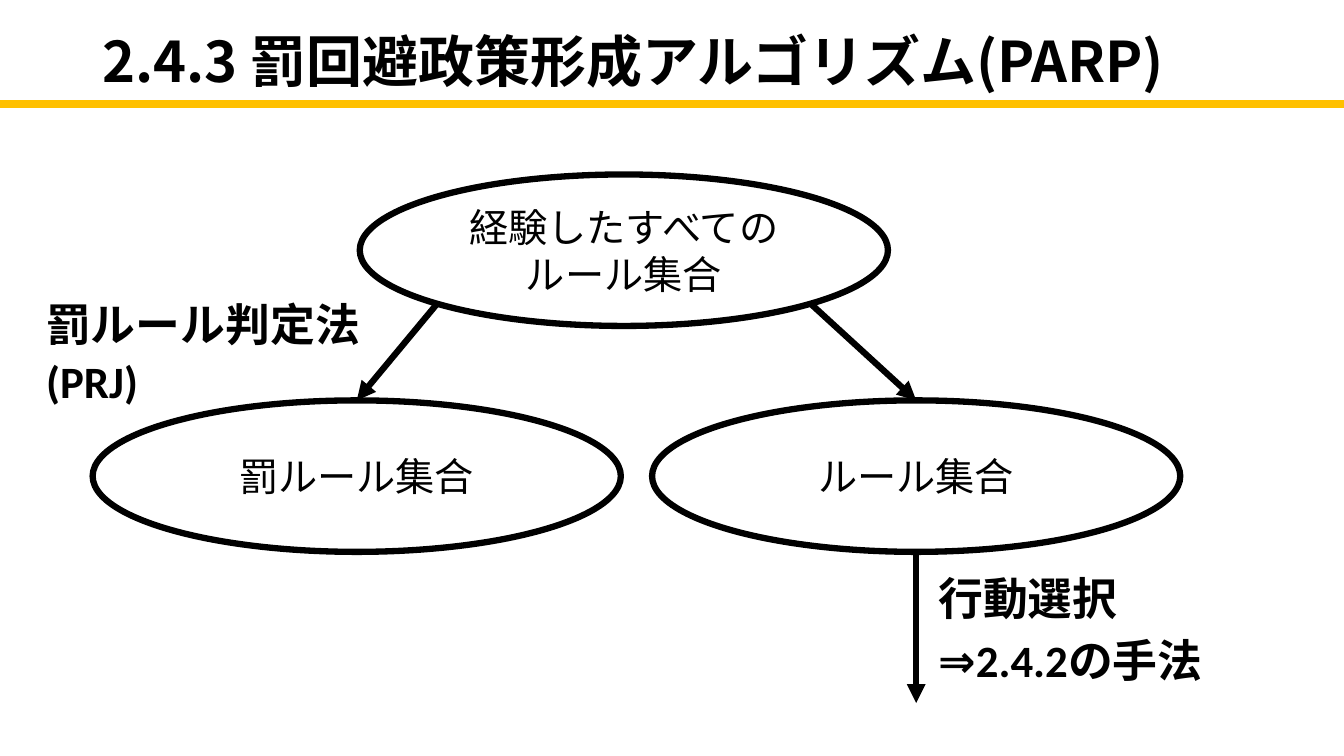
from lxml.etree import SubElement
from pptx import Presentation
from pptx.dml.color import RGBColor
from pptx.enum.shapes import MSO_CONNECTOR, MSO_SHAPE
from pptx.enum.text import MSO_ANCHOR, PP_ALIGN
from pptx.oxml.ns import qn
from pptx.util import Pt
from math import cos, pi

THEME = {
    "ink": RGBColor(0, 0, 0),
    "paper": RGBColor(255, 255, 255),
    "accent": RGBColor(0xFF, 0xC0, 0x00),
    "latin": "Calibri",
    "japanese": "Noto Sans CJK JP",
    "title": 40,
    "label": 32,
    "node": 28,
    "rule": 6,
    "line": 4.5,
}

TITLE = "2.4.3 罰回避政策形成アルゴリズム(PARP)"
ALL_RULES = "経験したすべてのルール集合"
PENALTY_RULES = "罰ルール集合"
RULES = "ルール集合"
JUDGEMENT = ["罰ルール判定法", "(PRJ)"]
SELECTION = ["行動選択", "⇒2.4.2の手法"]

SLIDE_SIZE = (960, 540)
NODE_WIDTH, NODE_HEIGHT = 377.3, 108.2
NODE_MARGIN = 10
UPPER_TOP, LOWER_TOP = 124.6, 286
UPPER_LEFT, PENALTY_LEFT, RULES_LEFT = 257, 66.2, 465.8
RULE_Y = 74.2
ARROW_LENGTH = 108


def write_text(shape, lines, size, font=THEME["latin"], bold=False,
               align=PP_ALIGN.LEFT, anchor=MSO_ANCHOR.TOP, spacing=1.0):
    frame = shape.text_frame
    frame.word_wrap = True
    frame.vertical_anchor = anchor
    for index, line in enumerate(lines):
        paragraph = frame.add_paragraph() if index else frame.paragraphs[0]
        paragraph.alignment = align
        paragraph.line_spacing = spacing
        if index:
            paragraph.space_before = Pt(10)
        run = paragraph.add_run()
        run.text = line
        run.font.size = Pt(size)
        run.font.bold = bold
        run.font.name = font
        run.font.color.rgb = THEME["ink"]
        SubElement(run.font._element, qn("a:ea"), typeface=THEME["japanese"])


def add_label(slide, box, lines, size, **text_format):
    shape = slide.shapes.add_textbox(*map(Pt, box))
    write_text(shape, lines, size, bold=True, **text_format)


def add_node(slide, left, top, text):
    shape = slide.shapes.add_shape(
        MSO_SHAPE.OVAL, Pt(left), Pt(top), Pt(NODE_WIDTH), Pt(NODE_HEIGHT))
    shape.shadow.inherit = False
    shape.fill.solid()
    shape.fill.fore_color.rgb = THEME["paper"]
    shape.line.color.rgb = THEME["ink"]
    shape.line.width = Pt(THEME["line"])
    shape.text_frame.margin_left = shape.text_frame.margin_right = Pt(NODE_MARGIN)
    write_text(shape, [text], THEME["node"],
               align=PP_ALIGN.CENTER, anchor=MSO_ANCHOR.MIDDLE)
    return shape


def add_line(slide, start, end, color, width, arrow=False):
    connector = slide.shapes.add_connector(
        MSO_CONNECTOR.STRAIGHT, *map(Pt, (*start, *end)))
    connector.line.color.rgb = color
    connector.line.width = Pt(width)
    if arrow:
        SubElement(connector.line._get_or_add_ln(), qn("a:tailEnd"), type="triangle")
    SubElement(connector._element.spPr, qn("a:effectLst"))
    return connector


def main():
    presentation = Presentation()
    presentation.slide_width, presentation.slide_height = map(Pt, SLIDE_SIZE)
    slide = presentation.slides.add_slide(presentation.slide_layouts[6])

    add_label(slide, (66.2, -6.5, 828, 104.4), [TITLE], THEME["title"],
              font=THEME["japanese"], anchor=MSO_ANCHOR.MIDDLE, spacing=0.9)
    add_line(slide, (-9.4, RULE_Y), (SLIDE_SIZE[0], RULE_Y),
             THEME["accent"], THEME["rule"])

    add_node(slide, UPPER_LEFT, UPPER_TOP, ALL_RULES)
    # Branches leave the upper ellipse at its 45-degree points.
    reach = cos(pi / 4) / 2
    start_y = UPPER_TOP + NODE_HEIGHT * (0.5 + reach)
    branches = [(PENALTY_LEFT, PENALTY_RULES, -reach), (RULES_LEFT, RULES, reach)]
    for left, text, offset in branches:
        node = add_node(slide, left, LOWER_TOP, text)
        start = (UPPER_LEFT + NODE_WIDTH * (0.5 + offset), start_y)
        end = (left + NODE_WIDTH / 2, LOWER_TOP)
        branch = add_line(slide, start, end, THEME["ink"], THEME["line"], arrow=True)
        branch.end_connect(node, 0)

    exit_x, exit_y = RULES_LEFT + NODE_WIDTH / 2, LOWER_TOP + NODE_HEIGHT
    add_line(slide, (exit_x, exit_y), (exit_x, exit_y + ARROW_LENGTH),
             THEME["ink"], THEME["line"], arrow=True)

    add_label(slide, (663.1, 408.2, 278.6, 94.3), SELECTION, THEME["label"], spacing=0.9)
    add_label(slide, (25.9, 216, 257.8, 85.7), JUDGEMENT, THEME["label"], spacing=0.8)
    presentation.save("out.pptx")


if __name__ == "__main__":
    main()
